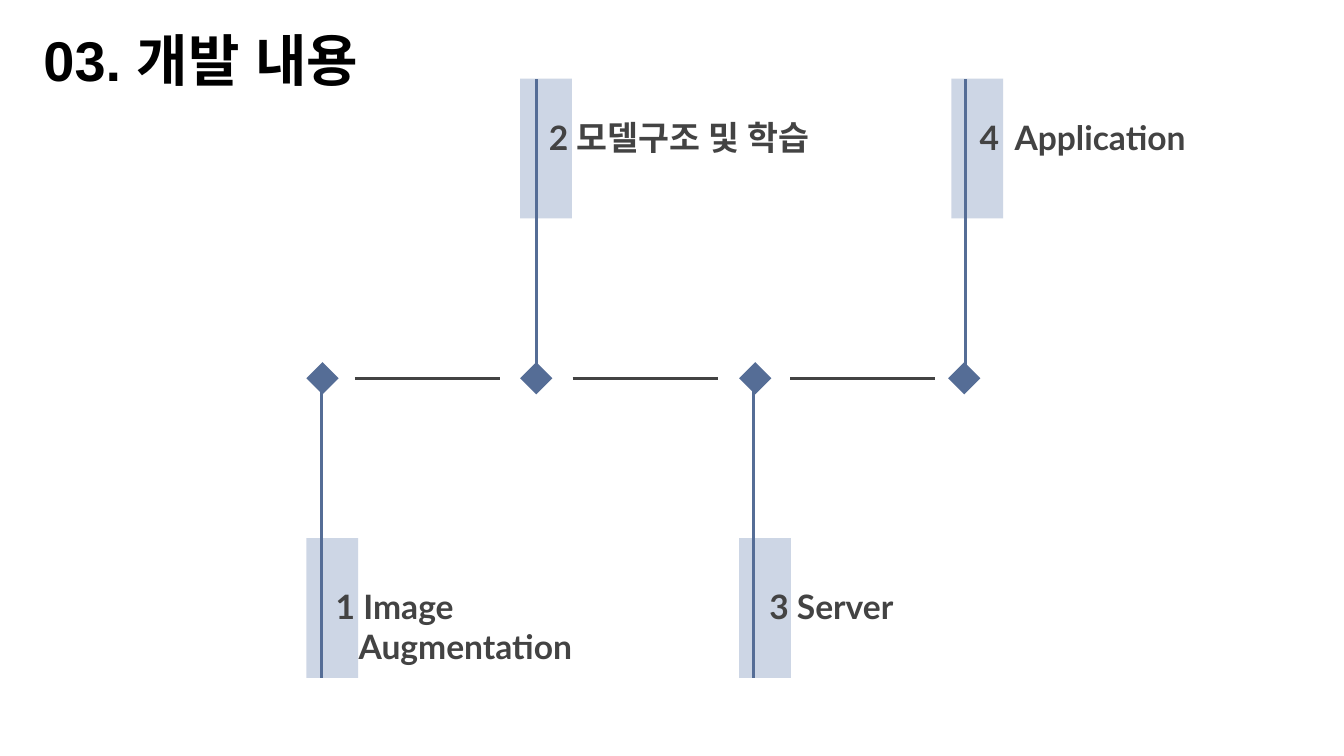
from dataclasses import dataclass

from lxml import etree
from pptx import Presentation
from pptx.dml.color import RGBColor
from pptx.enum.shapes import MSO_CONNECTOR, MSO_SHAPE
from pptx.enum.text import MSO_ANCHOR, PP_ALIGN
from pptx.oxml.ns import qn
from pptx.util import Emu, Pt

RECTANGLE, DIAMOND = MSO_SHAPE.RECTANGLE, MSO_SHAPE.DIAMOND
STRAIGHT = MSO_CONNECTOR.STRAIGHT
TOP, MIDDLE = MSO_ANCHOR.TOP, MSO_ANCHOR.MIDDLE
LEFT, CENTER = PP_ALIGN.LEFT, PP_ALIGN.CENTER
PX = 4572


@dataclass(frozen=True)
class Theme:
    """Hold the colours, fonts and type sizes of the slide."""
    accent: str = "556D96"
    band: str = "A9B9D3"
    ink: str = "434343"
    title: str = "000000"
    band_opacity: int = 58
    line_width: float = 1.5
    title_font: str = "Arial"
    label_font: str = "Lato"
    title_size: int = 30
    label_size: int = 18


THEME = Theme()
TITLE_FORMAT = {"name": THEME.title_font, "size": Pt(THEME.title_size), "bold": True}
LABEL_FORMAT = {"name": THEME.label_font, "size": Pt(THEME.label_size), "bold": True}

SLIDE_WIDTH, SLIDE_HEIGHT = 2000, 1125
BAND_WIDTH, BAND_HEIGHT = 77, 208
UPPER_BAND_TOP, LOWER_BAND_TOP = 117, 801
UPPER_STEM_END, LOWER_STEM_END = 576, 564
UPPER_LABEL_TOP, LOWER_LABEL_TOP = 154, 852
DIAMOND_TOP, DIAMOND_SIZE = 539, 48
LINK_LEFT, LINK_STEP, LINK_LENGTH, LINK_Y = 528, 324, 216, 563
INSET = 20

STEPS = [
    {"upper": False, "band": 456, "diamond": 456, "stem": 478, "label": (468, 468, 64),
     "lines": [("1 Image", 12, 0), ("Augmentation", 46, 0)]},
    {"upper": True, "band": 774, "diamond": 774, "stem": 798, "label": (797, 490, 92),
     "lines": [("2 모델구조 및 학습", 0, 0)]},
    {"upper": False, "band": 1100, "diamond": 1100, "stem": 1121, "label": (1125, 490, 92),
     "lines": [("3 Server", 0, 0)]},
    {"upper": True, "band": 1416, "diamond": 1411, "stem": 1437, "label": (1426, 456, 92),
     "lines": [("4\tApplication", 64, -52)]},
]


def px(*lengths):
    """Turn pixel lengths into EMU."""
    return [Emu(length * PX) for length in lengths]


def add_block(slide, kind, box, color, opacity=100):
    """Add a filled shape without outline."""
    shape = slide.shapes.add_shape(kind, *px(*box))
    shape.shadow.inherit = False
    shape.line.fill.background()
    shape.fill.solid()
    shape.fill.fore_color.rgb = RGBColor.from_string(color)
    if opacity < 100:
        fill_color = shape._element.spPr.find(qn("a:solidFill"))[0]
        alpha = etree.SubElement(fill_color, qn("a:alpha"))
        alpha.set("val", str(opacity * 1000))


def add_line(slide, start, end, color):
    """Add a straight line without shadow."""
    connector = slide.shapes.add_connector(STRAIGHT, *px(*start, *end))
    connector.line.width = Pt(THEME.line_width)
    connector.line.color.rgb = RGBColor.from_string(color)
    etree.SubElement(connector._element.spPr, qn("a:effectLst"))


def add_text(slide, box, lines, font_format, color, anchor=TOP, alignment=LEFT):
    """Add a text box of (text, left margin, first-line indent) lines."""
    frame = slide.shapes.add_textbox(*px(*box)).text_frame
    inset = Emu(INSET * PX)
    frame_format = {"word_wrap": True, "vertical_anchor": anchor,
                    "margin_left": inset, "margin_right": inset,
                    "margin_top": inset, "margin_bottom": inset}
    for name, value in frame_format.items():
        setattr(frame, name, value)
    for index, (text, margin, indent) in enumerate(lines):
        paragraph = frame.add_paragraph() if index else frame.paragraphs[0]
        paragraph.alignment = alignment
        properties = paragraph._p.get_or_add_pPr()
        properties.set("marL", str(margin * PX))
        properties.set("indent", str(indent * PX))
        run = paragraph.add_run()
        run.text = text
        for name, value in font_format.items():
            setattr(run.font, name, value)
        run.font.color.rgb = RGBColor.from_string(color)
        east_asian = etree.SubElement(run._r.get_or_add_rPr(), qn("a:ea"))
        east_asian.set("typeface", font_format["name"])


def add_band_and_stem(slide, step):
    """Add the pale band of a step and its stem to the timeline."""
    upper, stem = step["upper"], step["stem"]
    top = UPPER_BAND_TOP if upper else LOWER_BAND_TOP
    outer = top if upper else top + BAND_HEIGHT
    inner = UPPER_STEM_END if upper else LOWER_STEM_END
    add_block(slide, RECTANGLE, (step["band"], top, BAND_WIDTH, BAND_HEIGHT),
              THEME.band, THEME.band_opacity)
    add_line(slide, (stem, inner), (stem, outer), THEME.accent)


def add_marker_and_label(slide, step):
    """Add the diamond of a step and its label."""
    add_block(slide, DIAMOND, (step["diamond"], DIAMOND_TOP, DIAMOND_SIZE, DIAMOND_SIZE),
              THEME.accent)
    left, width, height = step["label"]
    top = UPPER_LABEL_TOP if step["upper"] else LOWER_LABEL_TOP
    add_text(slide, (left, top, width, height), step["lines"], LABEL_FORMAT, THEME.ink)


def main():
    """Build the timeline slide and save it."""
    presentation = Presentation()
    presentation.slide_width, presentation.slide_height = px(SLIDE_WIDTH, SLIDE_HEIGHT)
    slide = presentation.slides.add_slide(presentation.slide_layouts[6])
    for step in STEPS:
        add_band_and_stem(slide, step)
    for step in STEPS:
        add_marker_and_label(slide, step)
    for index in range(len(STEPS) - 1):
        left = LINK_LEFT + index * LINK_STEP
        add_line(slide, (left, LINK_Y), (left + LINK_LENGTH, LINK_Y), THEME.ink)
    add_text(slide, (0, 16, 598, 144), [("03. 개발 내용", 0, 0)], TITLE_FORMAT,
             THEME.title, MIDDLE, CENTER)
    presentation.save("out.pptx")


if __name__ == "__main__":
    main()
